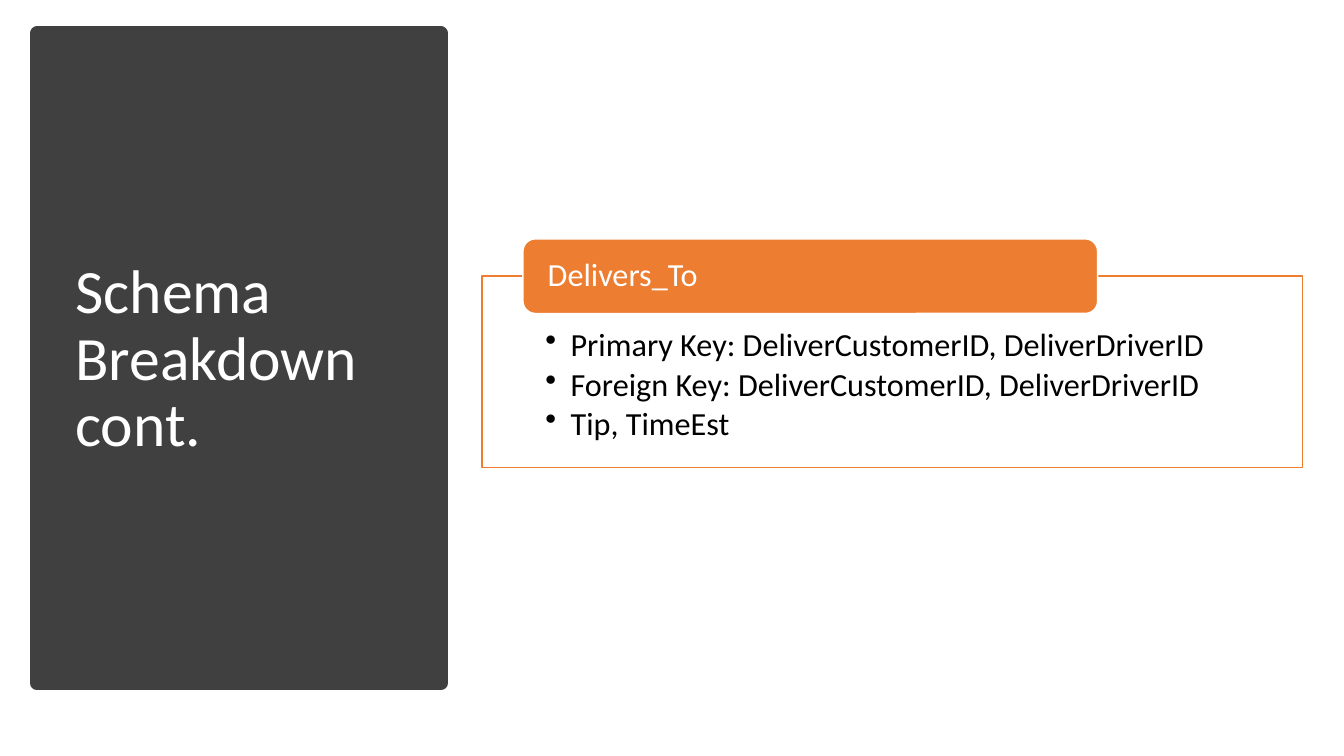
from lxml import etree
from pptx import Presentation
from pptx.dml.color import RGBColor
from pptx.enum.shapes import MSO_SHAPE
from pptx.enum.text import MSO_ANCHOR, PP_ALIGN
from pptx.oxml.ns import qn
from pptx.util import Inches, Pt

RECTANGLE, ROUNDED = MSO_SHAPE.RECTANGLE, MSO_SHAPE.ROUNDED_RECTANGLE
TOP, MIDDLE = MSO_ANCHOR.TOP, MSO_ANCHOR.MIDDLE
LEFT = PP_ALIGN.LEFT

TITLE = ["Schema Breakdown\vcont."]
TABLE_NAME = ["Delivers_To"]
FIELDS = [
    "Primary Key: DeliverCustomerID, DeliverDriverID",
    "Foreign Key: DeliverCustomerID, DeliverDriverID",
    "Tip, TimeEst",
]

THEME = {
    "font": "Calibri",
    "dark": "404040",
    "accent": "ED7D31",
    "white": "FFFFFF",
    "black": "000000",
    "title_size": 44,
    "body_size": 23,
}

SIDEBAR = (0.37, 0.33, 4, 6.45)
TITLE_BOX = (0.65, 0.7, 3.46, 5.75)
CARD = (4.78, 2.74, 8.14, 1.9)
HEADER_WIDTH, HEADER_HEIGHT = 5.7, 0.74
HEADER = (
    CARD[0] + CARD[2] * 0.05,
    CARD[1] - HEADER_HEIGHT / 2,
    HEADER_WIDTH,
    HEADER_HEIGHT,
)
BULLET_INDENT = 0.25


def color(name):
    return RGBColor.from_string(THEME[name])


def apply(target, values):
    for name, value in values.items():
        setattr(target, name, value)


def add_panel(page, preset, place, fill, line, line_width):
    box = page.shapes.add_shape(preset, *map(Inches, place))
    box.shadow.inherit = False
    box.fill.solid()
    box.fill.fore_color.rgb = color(fill)
    box.line.color.rgb = color(line)
    box.line.width = Pt(line_width)
    return box


def set_transparency(box, opacity):
    fill = box.fill._xPr.find(qn("a:solidFill"))
    etree.SubElement(fill[0], qn("a:alpha"), val=str(opacity * 1000))


def add_bullet(para):
    properties = para._p.get_or_add_pPr()
    indent = Inches(BULLET_INDENT)
    properties.set("marL", str(indent))
    properties.set("indent", str(-indent))
    etree.SubElement(properties, qn("a:buChar"), char="•")


def write(box, lines, size, ink, anchor, insets, space_after=0, bulleted=False):
    frame = box.text_frame
    apply(frame, {"word_wrap": True, "vertical_anchor": anchor})
    sides = ("margin_left", "margin_top", "margin_right", "margin_bottom")
    apply(frame, dict(zip(sides, map(Inches, insets))))
    frame.text = "\n".join(lines)
    for para in frame.paragraphs:
        apply(para, {
            "alignment": LEFT,
            "line_spacing": 0.9,
            "space_after": Pt(space_after),
        })
        if bulleted:
            add_bullet(para)
        for span in para.runs:
            apply(span.font, {"name": THEME["font"], "size": Pt(THEME[size])})
            span.font.color.rgb = color(ink)


def main():
    deck = Presentation()
    apply(deck, {"slide_width": Inches(13.33), "slide_height": Inches(7.5)})
    page = deck.slides.add_slide(deck.slide_layouts[6])

    add_panel(page, RECTANGLE, SIDEBAR, "dark", "dark", 10)
    title = page.shapes.add_textbox(*map(Inches, TITLE_BOX))
    write(title, TITLE, "title_size", "white", MIDDLE, (0.1, 0.05, 0.1, 0.05))

    card = add_panel(page, RECTANGLE, CARD, "white", "accent", 1)
    set_transparency(card, 90)
    write(card, FIELDS, "body_size", "black", TOP, (0.63, 0.52, 0.63, 0.18),
          space_after=3.45, bulleted=True)

    header = add_panel(page, ROUNDED, HEADER, "accent", "white", 1)
    write(header, TABLE_NAME, "body_size", "white", MIDDLE, (0.21, 0, 0.21, 0))

    deck.save("out.pptx")


if __name__ == "__main__":
    main()
